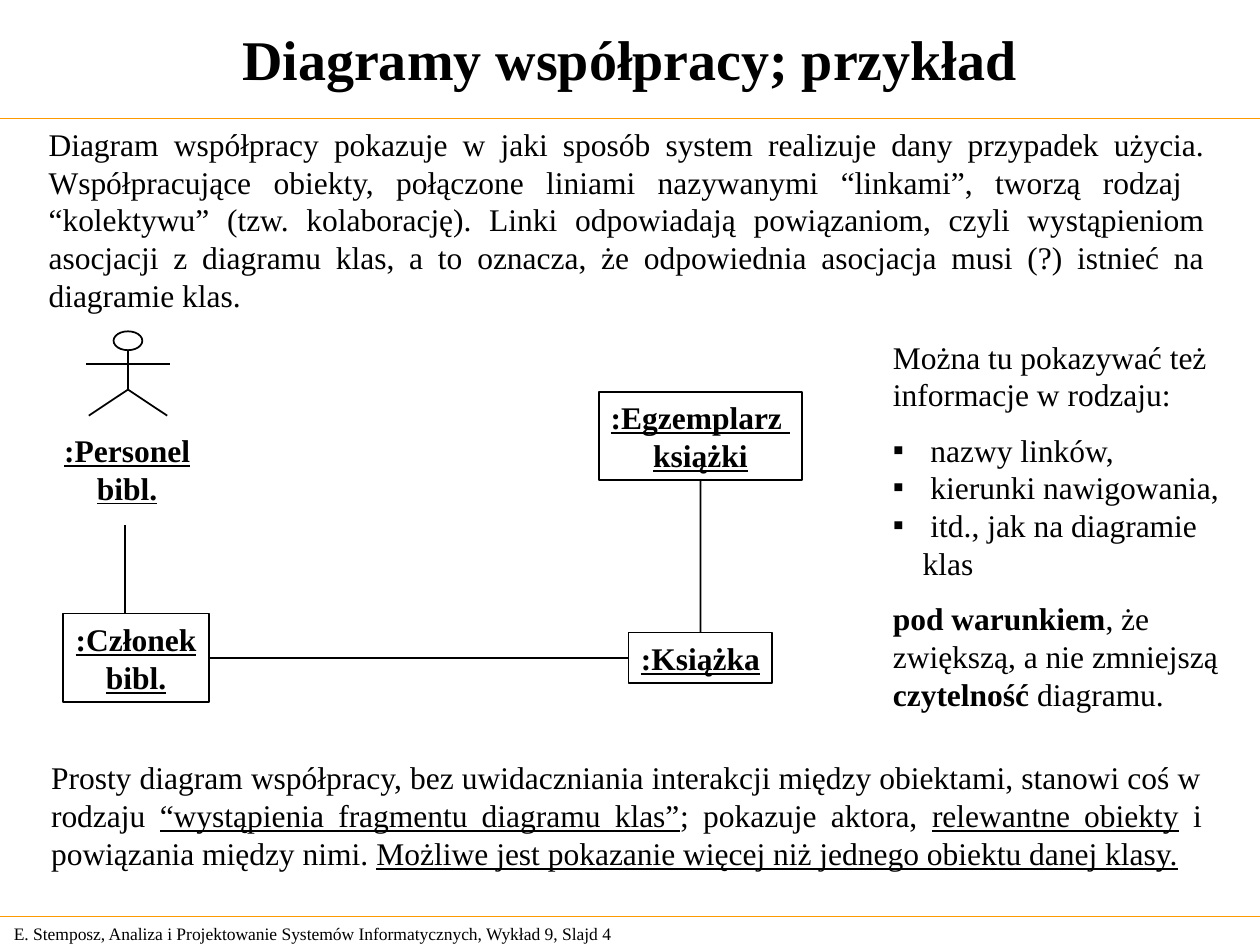
from dataclasses import dataclass

from lxml.etree import SubElement
from pptx import Presentation
from pptx.dml.color import RGBColor
from pptx.enum.shapes import MSO_CONNECTOR as Connector, MSO_SHAPE as Shape
from pptx.enum.text import MSO_ANCHOR as Anchor, MSO_AUTO_SIZE as AutoSize, PP_ALIGN as Align
from pptx.oxml.ns import qn
from pptx.util import Cm, Pt


@dataclass(frozen=True)
class Theme:
    font: str = "Times New Roman"
    ink: RGBColor = RGBColor(0x00, 0x00, 0x00)
    rule: RGBColor = RGBColor(0xFF, 0x99, 0x00)
    title: Pt = Pt(32)
    body: Pt = Pt(18)
    footer: Pt = Pt(10)
    gap: Pt = Pt(10)
    thin: Pt = Pt(0.75)
    stroke: Pt = Pt(1)


THEME = Theme()
WIDTH, HEIGHT = 25.4, 19.05
TOP, LEFT, BOTTOM, RIGHT = range(4)

INTRO = (
    "Diagram współpracy pokazuje w jaki sposób system realizuje dany przypadek użycia. "
    "Współpracujące obiekty, połączone liniami nazywanymi “linkami”, tworzą rodzaj  "
    "“kolektywu” (tzw. kolaborację). Linki odpowiadają powiązaniom, czyli wystąpieniom "
    "asocjacji z diagramu klas, a to oznacza, że odpowiednia asocjacja musi (?) istnieć "
    "na diagramie klas."
)
SUMMARY = [
    ("Prosty diagram współpracy, bez uwidaczniania interakcji między obiektami, "
     "stanowi coś w rodzaju ", ""),
    ("“wystąpienia fragmentu diagramu klas”", "u"),
    ("; pokazuje aktora, ", ""),
    ("relewantne obiekty", "u"),
    (" i powiązania między nimi. ", ""),
    ("Możliwe", "u"),
    (" ", "bu"),
    ("jest pokazanie więcej niż jednego obiektu danej klasy.", "u"),
]
NOTE_LEAD = ["Można tu pokazywać też", "informacje w rodzaju:"]
NOTE_BULLETS = [" nazwy linków,", " kierunki nawigowania,", " itd., jak na diagramie klas"]
NOTE_CLOSE = [
    [("pod warunkiem", "b"), (", że", "")],
    [("zwiększą, a nie zmniejszą", "")],
    [("czytelność", "b"), (" diagramu.", "")],
]
FOOTER = "E. Stemposz, Analiza i Projektowanie Systemów Informatycznych, Wykład 9, Slajd 4"


def write(frame, paragraphs, size=THEME.body, align=Align.LEFT):
    """Fill a frame; each paragraph is a list of (text, marks), marks being b and u."""
    for index, pieces in enumerate(paragraphs):
        para = frame.add_paragraph() if index else frame.paragraphs[0]
        para.alignment = align
        for text, marks in pieces:
            span = para.add_run()
            span.text = text
            font = span.font
            font.name, font.size = THEME.font, size
            font.color.rgb = THEME.ink
            font.bold = "b" in marks
            font.underline = "u" in marks


def add_text(page, box, paragraphs, **style):
    frame = page.shapes.add_textbox(*map(Cm, box)).text_frame
    frame.word_wrap = True
    write(frame, paragraphs, **style)
    return frame


def add_line(shapes, start, end, color=THEME.ink, width=THEME.stroke):
    line = shapes.add_connector(Connector.STRAIGHT, *map(Cm, (*start, *end)))
    line.line.color.rgb = color
    line.line.width = width
    SubElement(line._element.spPr, qn("a:effectLst"))
    return line


def outline(shape):
    shape.shadow.inherit = False
    shape.fill.background()
    shape.line.color.rgb = THEME.ink
    shape.line.width = THEME.stroke


def add_title(page, box, text):
    title = page.shapes.title
    title.left, title.top, title.width, title.height = map(Cm, box)
    frame = title.text_frame
    frame.auto_size = AutoSize.NONE
    frame.vertical_anchor = Anchor.MIDDLE
    write(frame, [[(text, "b")]], THEME.title, Align.CENTER)


def add_footer(page, box):
    frame = add_text(page, box, [[(FOOTER, "")]], size=THEME.footer)
    frame.vertical_anchor = Anchor.MIDDLE


def add_bullet(para, indent):
    props = para._p.get_or_add_pPr()
    props.set("marL", str(indent))
    props.set("indent", str(-indent))
    color = SubElement(props, qn("a:buClr"))
    SubElement(color, qn("a:srgbClr")).set("val", str(THEME.ink))
    SubElement(props, qn("a:buFont")).set("typeface", THEME.font)
    SubElement(props, qn("a:buChar")).set("char", "▪")


def add_note(page, box):
    plain = [[(text, "")] for text in NOTE_LEAD + NOTE_BULLETS]
    paras = add_text(page, box, plain + NOTE_CLOSE).paragraphs
    first, last = len(NOTE_LEAD), len(plain)
    paras[first].space_before = paras[last].space_before = THEME.gap
    for para in paras[first:last]:
        add_bullet(para, Cm(0.6))


def add_actor(page, left, top, width, height):
    """Stick figure: head, body, arms and two legs."""
    figure = page.shapes.add_group_shape().shapes
    middle, hip = left + width / 2, top + 0.69 * height
    head_width, head_height = 0.58, 0.38
    head = figure.add_shape(Shape.OVAL, *map(Cm, (middle - head_width / 2, top,
                                                  head_width, head_height)))
    outline(head)
    arms = top + 0.39 * height
    add_line(figure, (middle, top + head_height), (middle, hip))
    add_line(figure, (left, arms), (left + width, arms))
    for side in (-1, 1):
        add_line(figure, (middle, hip), (middle + side * 0.79, top + height))


def add_object(page, box, lines):
    shape = page.shapes.add_shape(Shape.RECTANGLE, *map(Cm, box))
    outline(shape)
    shape.text_frame.word_wrap = False
    shape.text_frame.vertical_anchor = Anchor.MIDDLE
    write(shape.text_frame, [[(text, "bu")] for text in lines], align=Align.CENTER)
    return shape


def link(page, first, first_side, second, second_side):
    line = add_line(page.shapes, (0, 0), (0, 0))
    line.begin_connect(first, first_side)
    line.end_connect(second, second_side)


def add_collaboration(page, left, top):
    add_actor(page, left + 0.46, top, 1.7, 1.7)
    add_text(page, (left - 0.23, top + 1.88, 3.05, 1.78),
             [[(":Personel", "bu")], [("bibl.", "bu")]],
             align=Align.CENTER).word_wrap = False
    member = add_object(page, (left, top + 5.69, 2.95, 1.78), [":Członek", "bibl."])
    book = add_object(page, (left + 11.4, top + 6.07, 2.9, 1.02), [":Książka"])
    item = add_object(page, (left + 10.8, top + 1.22, 4.1, 1.78), [":Egzemplarz ", "książki"])
    add_line(page.shapes, (left + 1.25, top + 3.91), (left + 1.25, top + 5.69))
    link(page, member, RIGHT, book, LEFT)
    link(page, item, BOTTOM, book, TOP)


def main():
    deck = Presentation()
    deck.slide_width, deck.slide_height = Cm(WIDTH), Cm(HEIGHT)
    page = deck.slides.add_slide(deck.slide_layouts[5])
    add_title(page, (0.1, 0.1, 25.2, 2.16), "Diagramy współpracy; przykład")
    for height in (2.39, 18.48):
        add_line(page.shapes, (0, height), (WIDTH, height), THEME.rule, THEME.thin)
    add_text(page, (0.73, 2.39, 23.82, 4.06), [[(INTRO, "")]], align=Align.JUSTIFY)
    add_collaboration(page, 1.27, 6.68)
    add_note(page, (17.75, 6.68, 7.67, 7.78))
    add_text(page, (0.78, 15.16, 23.7, 2.54), [SUMMARY], align=Align.JUSTIFY)
    add_footer(page, (0.03, 18.48, 13.3, 0.69))
    deck.save("out.pptx")


if __name__ == "__main__":
    main()
